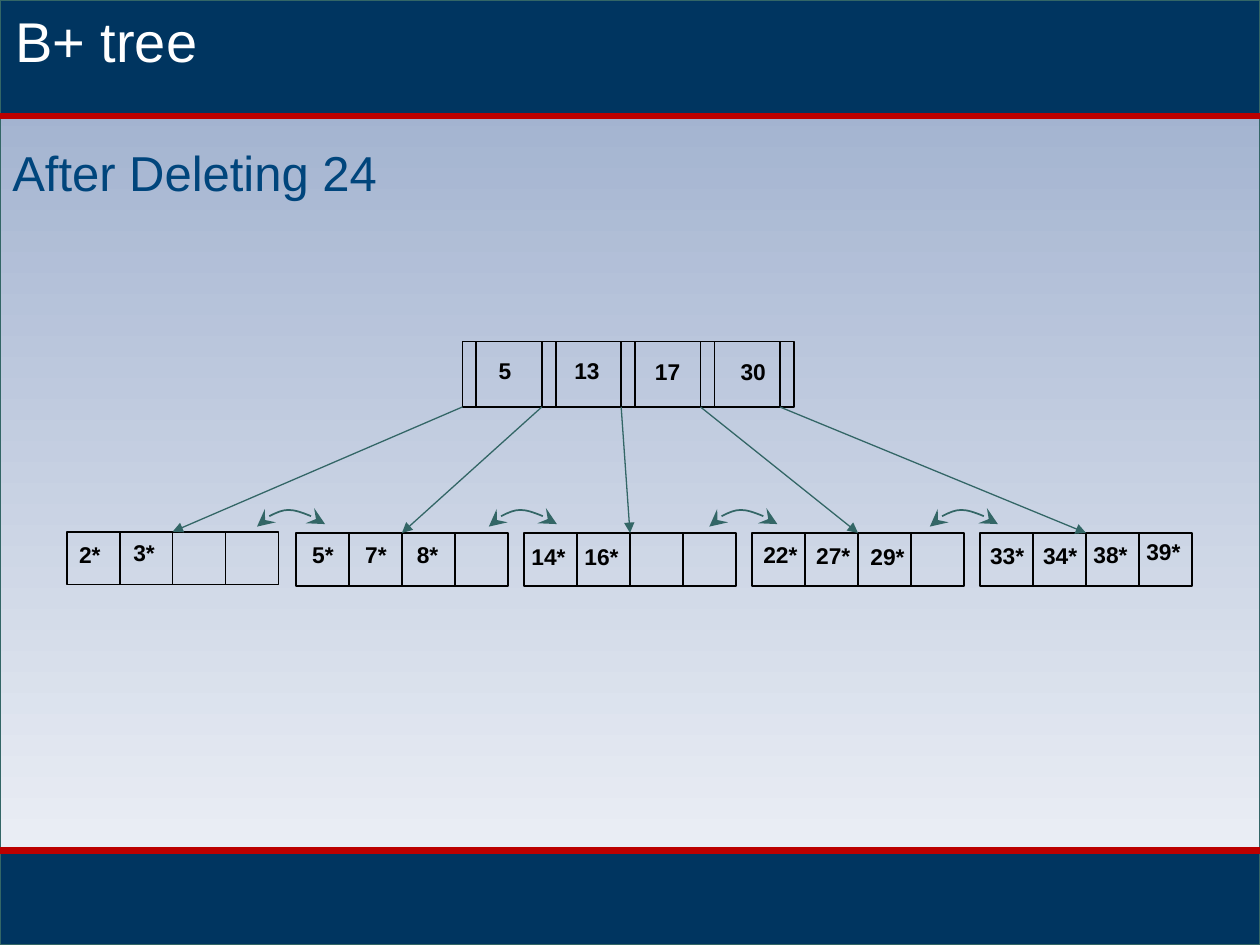
from dataclasses import dataclass

from lxml.etree import SubElement
from pptx import Presentation
from pptx.dml.color import RGBColor
from pptx.enum.shapes import MSO_CONNECTOR, MSO_SHAPE
from pptx.enum.text import MSO_ANCHOR, MSO_AUTO_SIZE, PP_ALIGN
from pptx.oxml.ns import qn
from pptx.util import Inches, Pt


@dataclass(frozen=True)
class Theme:
    font: str = "Arial"
    navy: str = "003560"
    red: str = "BC0000"
    teal: str = "336666"
    blue: str = "00457C"
    black: str = "000000"
    white: str = "FFFFFF"
    gradient: tuple = ("99ABCB", "F3F5F9")
    title_size: float = 32
    heading_size: float = 28
    key_size: float = 13
    thin: float = 0.75
    outline: float = 1
    rule: float = 3.75


THEME = Theme()
SLIDE_WIDTH, SLIDE_HEIGHT = 10, 7.5
HEADER_BOTTOM, FOOTER_TOP = 0.92, 6.75
SLOTS = 4

# Each node: left, top, then its keys with their offsets inside the node
ROOT = (3.67, 2.71, [("5", 0.19, 0.07), ("13", 0.79, 0.07),
                     ("17", 1.43, 0.08), ("30", 2.11, 0.08)])
ROOT_PITCH, ROOT_HEIGHT, POINTER_WIDTH = 0.63, 0.52, 0.11
LEAVES = [
    (0.53, 4.22, [("2*", 0, 0.02), ("3*", 0.43, 0.01)]),
    (2.35, 4.23, [("5*", 0.03, 0.01), ("7*", 0.45, 0.01), ("8*", 0.86, 0.01)]),
    (4.16, 4.23, [("14*", -0.04, 0.03), ("16*", 0.38, 0.03)]),
    (5.97, 4.23, [("22*", -0.01, 0.01), ("27*", 0.41, 0.02), ("29*", 0.84, 0.03)]),
    (7.78, 4.23, [("33*", -0.02, 0.02), ("34*", 0.4, 0.02),
                  ("38*", 0.8, 0.01), ("39*", 1.22, -0.01)]),
]
CELL = 0.42
SIBLING_LINKS = [2.04, 3.88, 5.63, 7.38]
SIBLING_TOP = 4.02


def rgb(value):
    return RGBColor.from_string(value)


def style_line(shape, color, width, head=None, tail=None, size="med"):
    shape.line.color.rgb = rgb(color)
    shape.line.width = Pt(width)
    line = shape.element.spPr.find(qn("a:ln"))
    for tag, kind in (("a:headEnd", head), ("a:tailEnd", tail)):
        if kind:
            SubElement(line, qn(tag), type=kind, w=size, len=size)


def add_box(slide, left, top, width, height, color, line_width, fill=None):
    shape = slide.shapes.add_shape(MSO_SHAPE.RECTANGLE, Inches(left), Inches(top),
                                   Inches(width), Inches(height))
    shape.shadow.inherit = False
    if fill:
        shape.fill.solid()
        shape.fill.fore_color.rgb = rgb(fill)
    else:
        shape.fill.background()
    style_line(shape, color, line_width)
    return shape


def add_line(slide, start, end, color, width, tail=None):
    connector = slide.shapes.add_connector(
        MSO_CONNECTOR.STRAIGHT, *(Inches(value) for value in (*start, *end)))
    style_line(connector, color, width, tail=tail)
    SubElement(connector.element.spPr, qn("a:effectLst"))


def write_text(shape, text, *, size, color, bold=False, wrap=False):
    frame = shape.text_frame
    frame.word_wrap = wrap
    frame.auto_size = MSO_AUTO_SIZE.NONE
    frame.vertical_anchor = MSO_ANCHOR.TOP
    paragraph = frame.paragraphs[0]
    paragraph.alignment = PP_ALIGN.LEFT
    run = paragraph.add_run()
    run.text = text
    run.font.name = THEME.font
    run.font.size = Pt(size)
    run.font.bold = bold
    run.font.color.rgb = rgb(color)


def add_text(slide, left, top, width, height, text, **text_format):
    box = slide.shapes.add_textbox(Inches(left), Inches(top), Inches(width), Inches(height))
    write_text(box, text, **text_format)


def add_background(slide, width, height):
    panel = add_box(slide, 0, 0, width, height, THEME.teal, THEME.thin)
    panel.fill.gradient()
    panel.fill.gradient_angle = 270
    for stop, color in zip(panel.fill.gradient_stops, THEME.gradient):
        stop.color.rgb = rgb(color)
    # Footer and header bands with their red rules
    for top, bottom in ((FOOTER_TOP, height), (0, HEADER_BOTTOM)):
        add_box(slide, 0, top, width, bottom - top, THEME.teal, THEME.thin, THEME.navy)
    for y in (HEADER_BOTTOM, FOOTER_TOP):
        add_line(slide, (0, y), (width, y), THEME.red, THEME.rule)


def add_titles(slide):
    title = slide.shapes.title
    title.left, title.top = Inches(0.02), Inches(0)
    title.width, title.height = Inches(9.98), Inches(0.64)
    write_text(title, "B+ tree", size=THEME.title_size, color=THEME.white, wrap=True)
    # Bring the title in front of the header band
    title.element.getparent().append(title.element)
    add_text(slide, 0, 1.08, 3.13, 0.57, "After Deleting 24",
             size=THEME.heading_size, color=THEME.blue)


def add_keys(slide, left, top, keys):
    for key, dx, dy in keys:
        width = 0.2 + 0.1 * len(key) - 0.03 * key.count("*")
        add_text(slide, left + dx, top + dy, width, 0.32, key,
                 size=THEME.key_size, color=THEME.black, bold=True)


def add_root(slide, left, top, keys):
    for slot in range(SLOTS):
        x = left + slot * ROOT_PITCH
        add_box(slide, x, top, ROOT_PITCH, ROOT_HEIGHT, THEME.black, THEME.outline)
        divider = x + POINTER_WIDTH
        add_line(slide, (divider, top), (divider, top + ROOT_HEIGHT),
                 THEME.black, THEME.outline)
    add_box(slide, left + SLOTS * ROOT_PITCH, top, POINTER_WIDTH, ROOT_HEIGHT,
            THEME.black, THEME.outline)
    add_keys(slide, left, top, keys)


def add_leaf(slide, left, top, keys):
    for slot in range(SLOTS):
        add_box(slide, left + slot * CELL, top, CELL, CELL, THEME.black, THEME.outline)
    add_keys(slide, left, top, keys)


def add_sibling_link(slide, left, top):
    points = [(Inches(left + dx), Inches(top + dy))
              for dx, dy in ((0, 0.16), (0.11, 0.01), (0.35, 0), (0.54, 0.14))]
    builder = slide.shapes.build_freeform(*points[0])
    builder.add_line_segments(points[1:], close=False)
    link = builder.convert_to_shape()
    link.shadow.inherit = False
    link.fill.background()
    style_line(link, THEME.teal, THEME.outline, head="stealth", tail="stealth", size="lg")
    # Turn the three segments into one Bezier curve
    outline = next(link.element.iter(qn("a:path")))
    segments = outline.findall(qn("a:lnTo"))
    curve = SubElement(outline, qn("a:cubicBezTo"))
    for segment in segments:
        curve.append(segment[0])
        outline.remove(segment)


def add_child_pointers(slide):
    left, top, _ = ROOT
    for index, (leaf_left, leaf_top, _) in enumerate(LEAVES):
        add_line(slide, (left + index * ROOT_PITCH, top + ROOT_HEIGHT),
                 (leaf_left + SLOTS / 2 * CELL, leaf_top),
                 THEME.teal, THEME.thin, tail="triangle")


def main():
    presentation = Presentation()
    presentation.slide_width = Inches(SLIDE_WIDTH)
    presentation.slide_height = Inches(SLIDE_HEIGHT)
    slide = presentation.slides.add_slide(presentation.slide_layouts[5])
    add_background(slide, SLIDE_WIDTH, SLIDE_HEIGHT)
    for leaf in LEAVES:
        add_leaf(slide, *leaf)
    add_root(slide, *ROOT)
    for left in SIBLING_LINKS:
        add_sibling_link(slide, left, SIBLING_TOP)
    add_child_pointers(slide)
    add_titles(slide)
    presentation.save("out.pptx")


if __name__ == "__main__":
    main()
